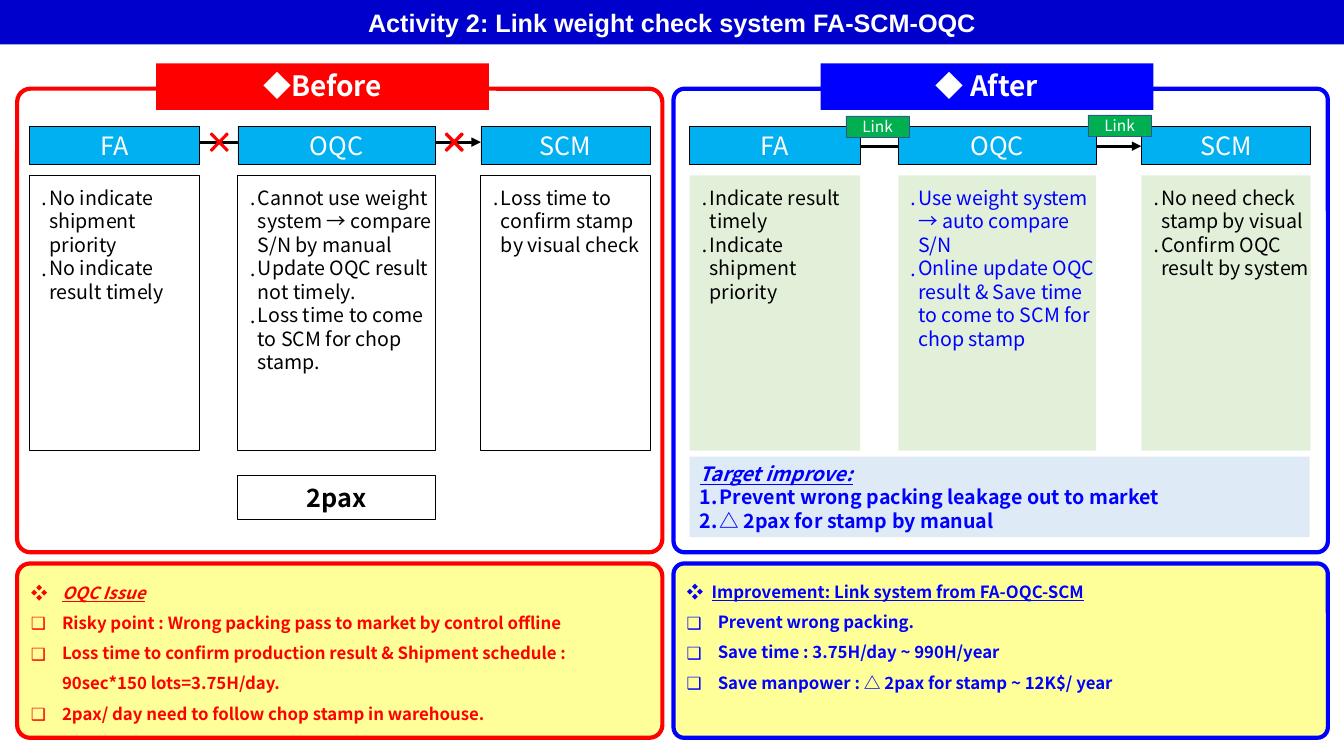
from lxml import etree
from pptx import Presentation
from pptx.dml.color import RGBColor
from pptx.enum.shapes import MSO_CONNECTOR, MSO_SHAPE
from pptx.enum.text import MSO_ANCHOR, PP_ALIGN
from pptx.oxml.ns import qn
from pptx.util import Inches, Pt

RECT, ROUND, CROSS = MSO_SHAPE.RECTANGLE, MSO_SHAPE.ROUNDED_RECTANGLE, MSO_SHAPE.MATH_MULTIPLY
STRAIGHT = MSO_CONNECTOR.STRAIGHT
TOP, MIDDLE = MSO_ANCHOR.TOP, MSO_ANCHOR.MIDDLE
LEFT, CENTER = PP_ALIGN.LEFT, PP_ALIGN.CENTER

WHITE = RGBColor(0xFF, 0xFF, 0xFF)
BLACK = RGBColor(0x00, 0x00, 0x00)
RED = RGBColor(0xFF, 0x00, 0x00)
BLUE = RGBColor(0x00, 0x00, 0xFF)
NAVY = RGBColor(0x00, 0x00, 0xCC)
SKY = RGBColor(0x00, 0xB0, 0xF0)
GREEN = RGBColor(0x00, 0xB0, 0x50)
EDGE = RGBColor(0x32, 0x54, 0x91)
MINT = RGBColor(0xE2, 0xF0, 0xD9)
PALE = RGBColor(0xDE, 0xEB, 0xF7)
YELLOW = RGBColor(0xFF, 0xFF, 0x99)

HEADING = {"bold": True, "italic": True, "underline": True}
PLAIN = {"bold": True}
DOT, DIAMOND, SQUARE, NUMBER = "․", "❖", "❑", "1."


class Board:
    font = "Noto Sans CJK JP"

    def __init__(self, slide):
        self.slide = slide

    def box(self, at, fill=None, line=None, width=0.5, kind=RECT, adj=None):
        sp = self.slide.shapes.add_shape(kind, *map(Inches, at))
        sp.shadow.inherit = False
        if adj is not None:
            sp.adjustments[0] = adj
        if fill is None:
            sp.fill.background()
        else:
            sp.fill.solid()
            sp.fill.fore_color.rgb = fill
        if line is None:
            sp.line.fill.background()
        else:
            sp.line.color.rgb = line
            sp.line.width = Pt(width)
        return sp

    def frame(self, sp, anchor, insets=(0.1, 0.05, 0.1, 0.05)):
        tf = sp.text_frame
        left, top, right, bottom = map(Inches, insets)
        settings = {"word_wrap": True, "vertical_anchor": anchor, "margin_left": left,
                    "margin_top": top, "margin_right": right, "margin_bottom": bottom}
        for name, value in settings.items():
            setattr(tf, name, value)
        return tf

    def run(self, p, text, size, color, style, align=LEFT, font=None):
        p.alignment = align
        r = p.add_run()
        r.text = text
        for name, value in {"name": font or self.font, "size": Pt(size), **style}.items():
            setattr(r.font, name, value)
        r.font.color.rgb = color
        ea = etree.SubElement(r._r.get_or_add_rPr(), qn("a:ea"))
        ea.set("typeface", font or self.font)

    def label(self, sp, text, size, color=WHITE, bold=False, anchor=MIDDLE,
              insets=(0.1, 0.05, 0.1, 0.05), font=None):
        tf = self.frame(sp, anchor, insets)
        self.run(tf.paragraphs[0], text, size, color, {"bold": bold}, CENTER, font)

    def bullet(self, p, mark, indent):
        ppr = p._p.get_or_add_pPr()
        ppr.set("marL", str(Inches(indent)))
        ppr.set("indent", str(-Inches(indent)))
        if mark == NUMBER:
            etree.SubElement(ppr, qn("a:buAutoNum")).set("type", "arabicPeriod")
        else:
            etree.SubElement(ppr, qn("a:buFont")).set("typeface", self.font)
            etree.SubElement(ppr, qn("a:buChar")).set("char", mark)

    def items(self, sp, rows, size, color, anchor=TOP, spacing=None,
              insets=(0.1, 0.05, 0.1, 0.05)):
        tf = self.frame(sp, anchor, insets)
        for i, (mark, indent, text, style) in enumerate(rows):
            p = tf.add_paragraph() if i else tf.paragraphs[0]
            if mark:
                self.bullet(p, mark, indent)
            if spacing:
                p.line_spacing = spacing
            self.run(p, text, size, color, style)

    def arrow(self, x1, x2, y):
        cn = self.slide.shapes.add_connector(STRAIGHT, *map(Inches, (x1, y, x2, y)))
        cn.line.color.rgb = BLACK
        cn.line.width = Pt(2.25)
        sppr = cn._element.spPr
        tail = etree.SubElement(sppr.find(qn("a:ln")), qn("a:tailEnd"))
        tail.set("type", "triangle")
        etree.SubElement(sppr, qn("a:effectLst"))

    def panel(self, x, width, adj, color, title, title_x):
        self.box((x, 0.88, width, 4.6), line=color, width=3, kind=ROUND, adj=adj)
        sp = self.box((title_x, 0.63, 3.3, 0.46), fill=color)
        self.label(sp, title, 20, bold=True, anchor=TOP)

    def summary(self, x, width, adj, color, rows):
        sp = self.box((x, 5.59, width, 1.73), YELLOW, color, 3, ROUND, adj)
        self.items(sp, rows, 12, color, spacing=1.5)

    def flow(self, x, arrow_y, columns, fill, line):
        self.arrow(x + 1.68, x + 4.48, arrow_y)
        for (name, color, notes), (dx, width) in zip(columns, COLUMNS):
            head = self.box((x + dx, 1.25, width, 0.38), SKY, BLACK)
            self.label(head, name, 18)
            body = self.box((x + dx, 1.74, width, 2.73), fill, line, 0.75)
            rows = [(DOT, 0.1, note, {}) for note in notes]
            self.items(body, rows, 14, color, insets=(0.1, 0.1, 0, 0))


COLUMNS = [(0, 1.69), (2.07, 1.96), (4.48, 1.68)]
BEFORE = [
    ("FA", BLACK, ["No indicate shipment priority", "No indicate result timely"]),
    ("OQC", BLACK, ["Cannot use weight system → compare S/N by manual",
                    "Update OQC result not timely.",
                    "Loss time to come to SCM for chop stamp."]),
    ("SCM", BLACK, ["Loss time to confirm stamp by visual check"]),
]
AFTER = [
    ("FA", BLACK, ["Indicate result timely", "Indicate shipment priority"]),
    ("OQC", BLUE, ["Use weight system → auto compare S/N",
                   "Online update OQC result & Save time to come to SCM for chop stamp"]),
    ("SCM", BLACK, ["No need check stamp by visual", "Confirm OQC result by system"]),
]
ISSUES = [
    (DIAMOND, 0.31, "OQC Issue", HEADING),
    (SQUARE, 0.31, "Risky point : Wrong packing pass to market by control offline", PLAIN),
    (SQUARE, 0.31, "Loss time to confirm production result & Shipment schedule : "
                   "90sec*150 lots=3.75H/day.", PLAIN),
    (SQUARE, 0.31, "2pax/ day need to follow chop stamp in warehouse.", PLAIN),
]
GAINS = [
    (DIAMOND, 0.25, "Improvement: Link system from FA-OQC-SCM",
     {"bold": True, "underline": True}),
    (SQUARE, 0.31, "Prevent wrong packing.", PLAIN),
    (SQUARE, 0.31, "Save time : 3.75H/day ~ 990H/year", PLAIN),
    (SQUARE, 0.31, "Save manpower : △ 2pax for stamp ~ 12K$/ year", PLAIN),
]
TARGETS = [
    (None, 0, "Target improve:", HEADING),
    (NUMBER, 0.2, "Prevent wrong packing leakage out to market", PLAIN),
    (NUMBER, 0.2, "△ 2pax for stamp by manual", PLAIN),
]


def main():
    prs = Presentation()
    prs.slide_width, prs.slide_height = Inches(13.33), Inches(7.5)
    board = Board(prs.slides.add_slide(prs.slide_layouts[6]))

    board.panel(6.68, 6.49, 0.024, BLUE, "◆ After", 8.14)
    board.summary(0.17, 6.4, 0.074, RED, ISSUES)
    board.summary(6.68, 6.49, 0.061, BLUE, GAINS)
    board.panel(0.17, 6.4, 0.029, RED, "◆Before", 1.55)

    board.flow(0.29, 1.41, BEFORE, None, BLACK)
    for x, adj in ((2.02, 0.054), (4.35, 0.066)):
        board.box((x, 1.25, 0.31, 0.32), RED, RED, 1, CROSS, adj)
    pax = board.box((2.36, 4.72, 1.96, 0.43), line=BLACK, width=0.75)
    board.label(pax, "2pax", 18, BLACK, bold=True)

    board.flow(6.84, 1.45, AFTER, MINT, None)
    target = board.box((6.84, 4.53, 6.15, 0.8), PALE)
    board.items(target, TARGETS, 14, BLUE, MIDDLE)
    for x, y in ((10.79, 1.14), (8.39, 1.15)):
        link = board.box((x, y, 0.63, 0.21), GREEN, EDGE, 0.25)
        board.label(link, "Link", 11, insets=(0, 0, 0, 0))

    title = board.box((0, 0, 13.33, 0.44), NAVY)
    board.label(title, "Activity 2: Link weight check system FA-SCM-OQC", 18, bold=True, font="Arial")
    prs.save("out.pptx")


if __name__ == "__main__":
    main()
